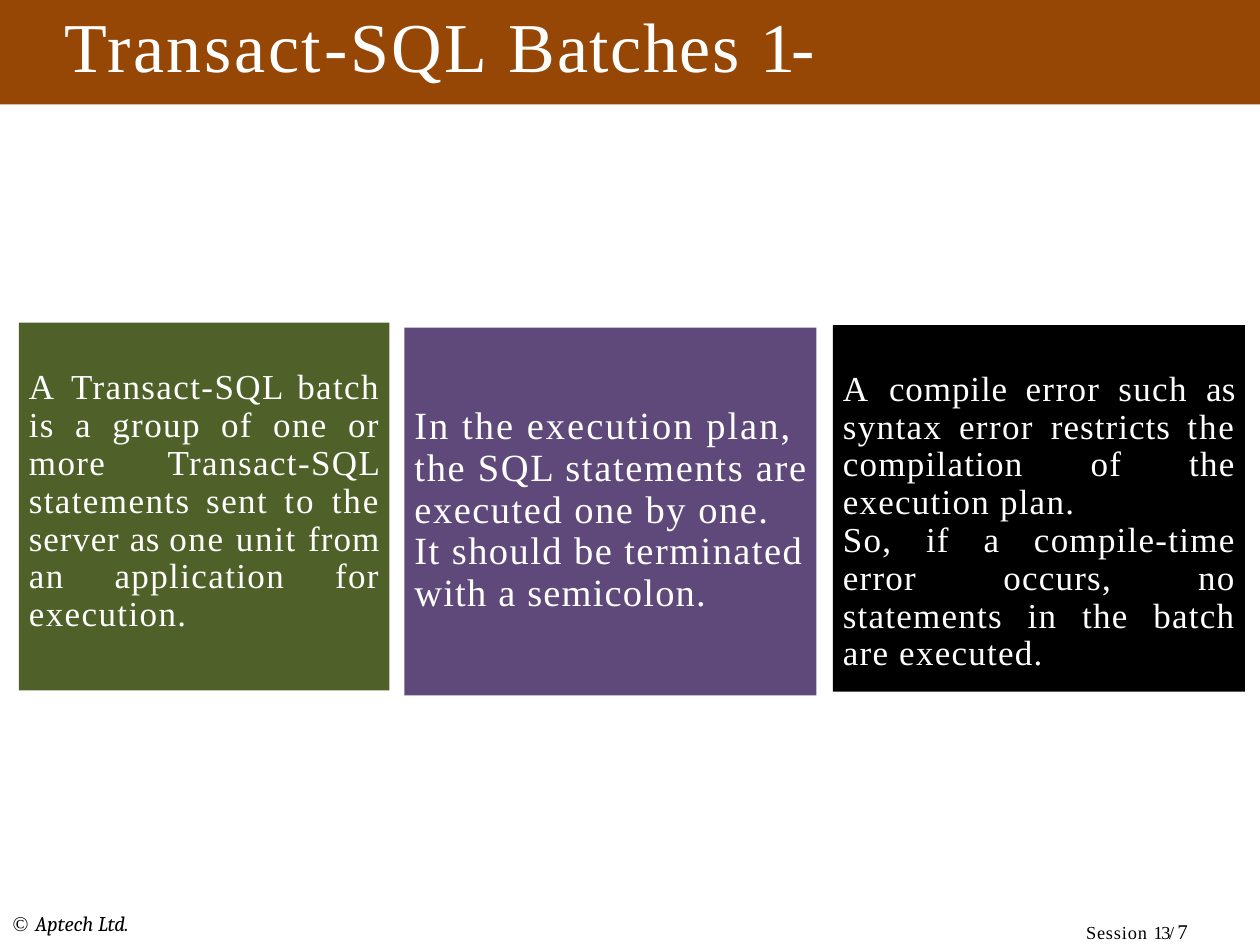
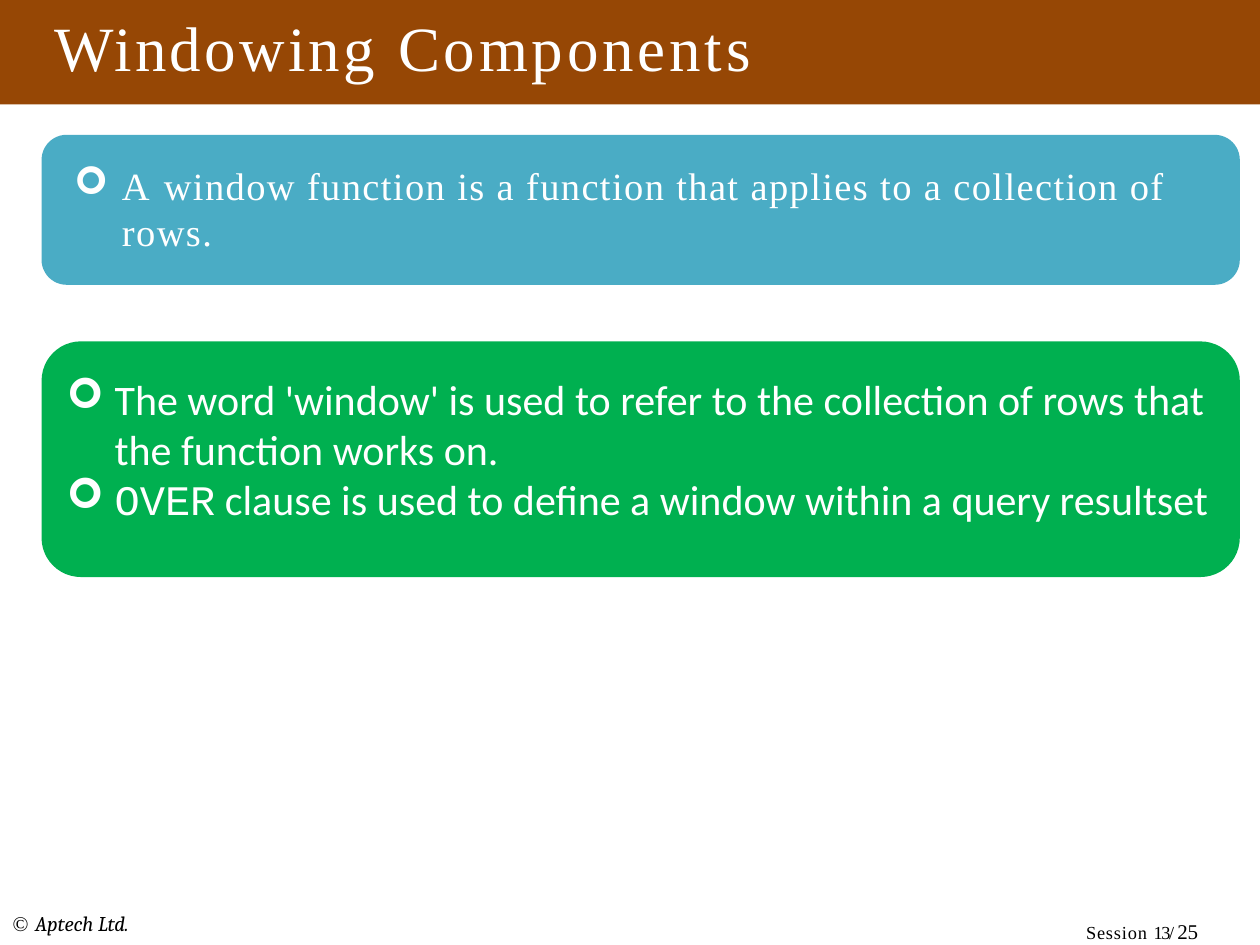
import pptx
import pptx.util
import pptx.dml.color
import pptx.enum.shapes
import pptx.enum.text
import lxml.etree
from dataclasses import dataclass
from pptx.util import Inches

FORM = pptx.enum.shapes.MSO_SHAPE
ALIGN = pptx.enum.text.PP_ALIGN


@dataclass(frozen=True)
class Theme:
    band: str = "964705"
    olive: str = "4F6128"
    plum: str = "5F497A"
    black: str = "000000"
    blue: str = "4AACC5"
    green: str = "00B050"
    white: str = "FFFFFF"
    serif: str = "Times New Roman"
    sans: str = "Calibri"
    mono: str = "Courier New"
    mark: str = "Cambria"
    sign: str = "Wingdings"
    body: float = 20
    large: float = 22
    list: float = 24
    foot: float = 12
    small: float = 10.5


theme = Theme()


def block(slide, box, fill=None, form=FORM.RECTANGLE, pad=(0.01, 0.01, 0)):
    """Add a filled shape, or a text box when there is no fill; pad is left, top, right."""
    place = [Inches(n) for n in box]
    if fill:
        shape = slide.shapes.add_shape(form, *place)
        shape.shadow.inherit = False
        shape.fill.solid()
        shape.fill.fore_color.rgb = pptx.dml.color.RGBColor.from_string(fill)
        shape.line.fill.background()
    else:
        shape = slide.shapes.add_textbox(*place)
    frame = shape.text_frame
    frame.word_wrap = True
    frame.vertical_anchor = pptx.enum.text.MSO_ANCHOR.TOP
    frame.margin_left, frame.margin_top, frame.margin_right = [Inches(n) for n in pad]
    frame.margin_bottom = 0
    return frame


def write(frame, paras, color=theme.white, align=ALIGN.LEFT, pitch=None, bullet=None):
    """Fill a frame; a run is text, font, size, letter spacing and, if set, italic.

    A run that ends in a newline is followed by a line break.
    """
    for i, runs in enumerate(paras):
        para = frame.paragraphs[0] if i == 0 else frame.add_paragraph()
        para.alignment = align
        if pitch:
            para.line_spacing = pptx.util.Pt(pitch)
        if bullet:
            props = para._p.get_or_add_pPr()
            props.set("marL", str(Inches(0.39)))
            props.set("indent", str(Inches(-0.38)))
            for tag, key, value in (("a:buFont", "typeface", theme.sign),
                                    ("a:buChar", "char", bullet)):
                lxml.etree.SubElement(props, pptx.oxml.ns.qn(tag)).set(key, value)
        for text, face, size, gap, *slant in runs:
            run = para.add_run()
            run.text = text.rstrip("\n")
            run.font.name = face
            run.font.size = pptx.util.Pt(size)
            run.font.italic = bool(slant)
            run.font.color.rgb = pptx.dml.color.RGBColor.from_string(color)
            run._r.get_or_add_rPr().set("spc", str(round(gap * 100)))
            if text.endswith("\n"):
                para.add_line_break()


deck = pptx.Presentation()
deck.slide_width, deck.slide_height = Inches(10), Inches(7.5)

# Band, title and footers on every slide
heads = [
    ((0.5, 0.01, 6.18, 0.7), 40,
     [("Transact-SQL ", 1.6), ("Batches ", 0.9), ("1-2", -2.5)], "7"),
    ((0.42, 0.06, 5.57, 0.63), 36,
     [("Windowing ", 1.9), ("Components", 2.2)], "25"),
]
slides = []
for box, size, words, page in heads:
    slide = deck.slides.add_slide(deck.slide_layouts[6])
    slides.append(slide)
    block(slide, (0, 0, 10, 0.83), theme.band)
    write(block(slide, box), [[(text, theme.serif, size, gap) for text, gap in words]])
    write(block(slide, (8.61, 7.27, 1.03, 0.2), pad=(0.01, 0.02, 0)), [[
        ("Session ", theme.serif, theme.small, 0.5),
        ("13/ ", theme.serif, theme.small, -0.8),
        (page, theme.serif, theme.foot, -0.1),
    ]], theme.black)
    write(block(slide, (0.09, 7.22, 1.16, 0.21)), [[
        ("© ", theme.serif, theme.foot, 0.4),
        ("Aptech ", theme.mark, theme.foot, 0, True),
        ("Ltd.", theme.mark, theme.foot, -0.1, True),
    ]], theme.black)

# Batch cards, with the letter spacing of each run
cards = [
    ((0.15, 2.56, 2.94, 2.92), theme.olive, (0.08, 0.37, 0.07),
     theme.body, 21.6, ALIGN.JUSTIFY, [
         [("A ", 1.8), ("Transact-SQL batch\n", 0.8),
          ("is a group of one or more Transact-SQL ", 0.8),
          ("statements sent ", 0.8), ("to the\n", 1.1),
          ("server ", 0.5), ("as ", 0.2), ("one unit ", 1), ("from ", 0.6),
          ("an application for execution.", 0.8)],
     ]),
    ((3.21, 2.6, 3.27, 2.92), theme.plum, (0.08, 0.62, 0),
     theme.large, 23.8, ALIGN.LEFT, [
         [("In the execution plan, ", 1.2), ("the SQL statements are ", 1),
          ("executed one by one.", 0.9)],
         [("It should be terminated ", 0.85), ("with a semicolon.", 0.7)],
     ]),
    ((6.61, 2.58, 3.27, 2.91), theme.black, (0.08, 0.36, 0.07),
     theme.body, 21.6, ALIGN.JUSTIFY, [
         [("A ", 1.8), ("compile ", 0.5), ("error such ", 0.8), ("as\n", 0.2),
          ("syntax error ", 0.8), ("restricts ", 0.6), ("the\n", 1.1),
          ("compilation of the execution plan.", 0.7)],
         [("So, if a compile-time error occurs, no statements in the batch "
           "are executed.", 0.7)],
     ]),
]
for box, fill, pad, size, pitch, align, texts in cards:
    paras = [[(text, theme.serif, size, gap) for text, gap in runs] for runs in texts]
    write(block(slides[0], box, fill, pad=pad), paras, align=align, pitch=pitch)

# Window panels
panels = [
    ((0.33, 1.07, 9.51, 1.19), theme.blue, (0.19, 0.16, 0.06), [
        [("A ", theme.serif, theme.large, 1.9),
         ("window function is a function that applies to a collection of rows.",
          theme.serif, theme.large, 0.83)],
    ]),
    ((0.33, 2.71, 9.51, 1.87), theme.green, (0.1, 0.16, 0.08), [
        [("The word 'window' is used to refer to the collection of rows that "
          "the function works on.", theme.sans, theme.list, 0)],
        [("OVER", theme.mono, theme.list, 0),
         (" clause is used to define a window within a query resultset",
          theme.sans, theme.list, 0)],
    ]),
]
for box, fill, pad, paras in panels:
    frame = block(slides[1], box, fill, FORM.ROUNDED_RECTANGLE, pad)
    write(frame, paras, bullet="➢")

deck.save("out.pptx")
